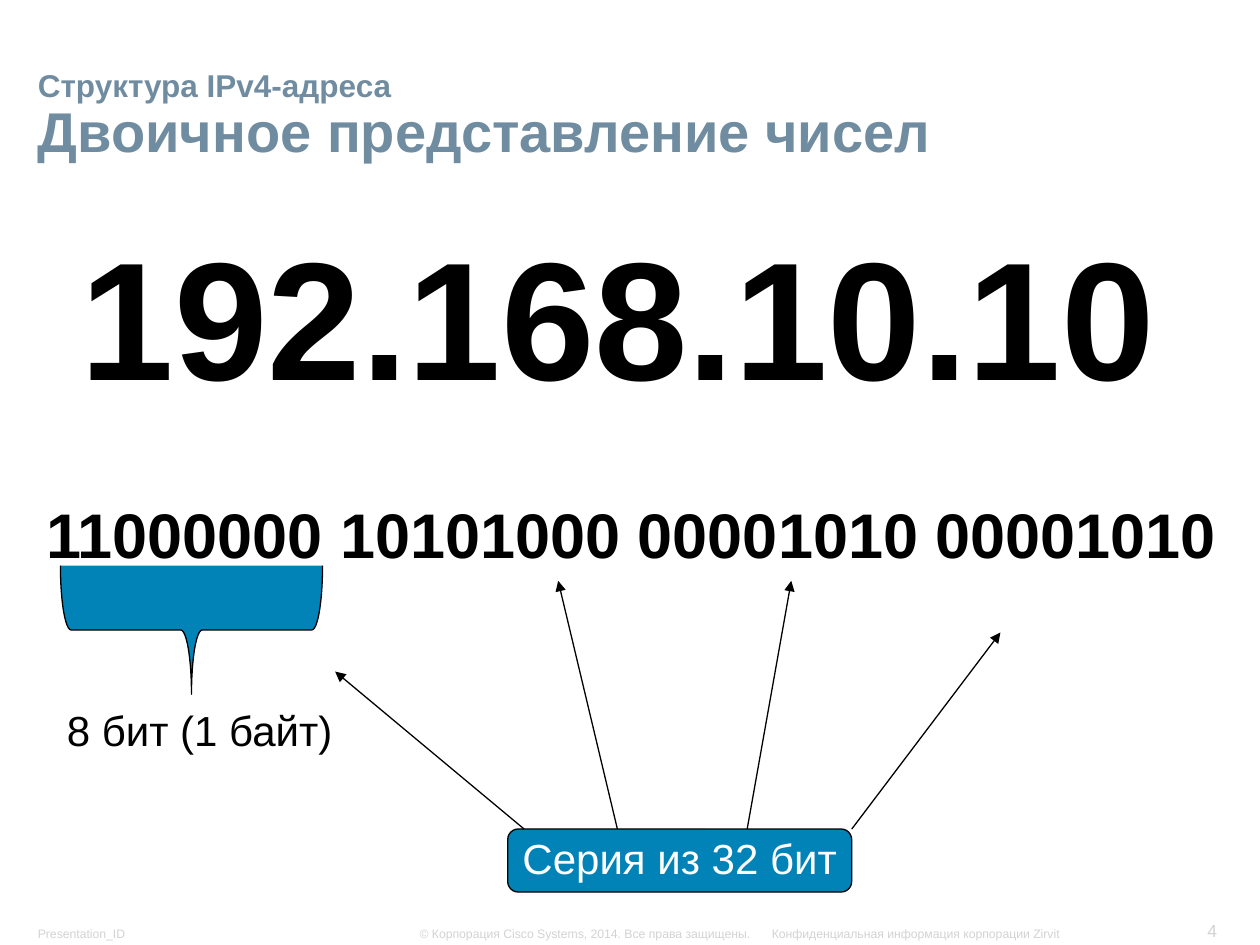
from dataclasses import dataclass

from lxml.etree import SubElement
from pptx import Presentation
from pptx.dml.color import RGBColor
from pptx.enum.shapes import MSO_CONNECTOR as Connector, MSO_SHAPE as Preset
from pptx.enum.text import MSO_ANCHOR as Anchor, MSO_AUTO_SIZE as AutoSize, PP_ALIGN as Align
from pptx.oxml.ns import qn
from pptx.util import Inches, Pt


@dataclass(frozen=True)
class Theme:
    font: str = "Arial"
    black: str = "000000"
    white: str = "FFFFFF"
    heading: str = "708CA1"
    accent: str = "0183B7"
    footer: str = "D3D3D3"
    footer_size: int = 7
    number_size: int = 10
    topic_size: int = 18
    label_size: int = 24
    title_size: int = 32
    bits_size: int = 36
    address_size: int = 96
    line_width: float = 0.75


THEME = Theme()
NARROW_INSETS = (0.09, 0.04)
WIDE_INSETS = (0.1, 0.05)


def color(code):
    return RGBColor.from_string(code)


def set_values(target, values):
    for name, value in values.items():
        setattr(target, name, value)


def write_text(shape, runs, ink, bold=False, align=Align.LEFT, spacing=None,
               anchor=Anchor.TOP, insets=NARROW_INSETS, wrap=True, grow=True):
    """Fill a shape with one paragraph; each (text, size) run is on its own line."""
    frame = shape.text_frame
    side, edge = map(Inches, insets)
    set_values(frame, {
        "margin_left": side, "margin_right": side,
        "margin_top": edge, "margin_bottom": edge,
        "vertical_anchor": anchor, "word_wrap": wrap,
        "auto_size": AutoSize.SHAPE_TO_FIT_TEXT if grow else AutoSize.NONE,
    })
    paragraph = frame.paragraphs[0]
    set_values(paragraph, {"alignment": align, "line_spacing": spacing})
    for index, (text, size) in enumerate(runs):
        if index:
            paragraph.add_line_break()
        run = paragraph.add_run()
        run.text = text
        set_values(run.font, {"name": THEME.font, "size": Pt(size), "bold": bold})
        run.font.color.rgb = color(ink)


def add_text(slide, box, runs, ink=THEME.black, **options):
    shape = slide.shapes.add_textbox(*map(Inches, box))
    write_text(shape, runs, ink, **options)


def set_line(line):
    line.color.rgb = color(THEME.black)
    line.width = Pt(THEME.line_width)


def add_accent_shape(slide, preset, box):
    shape = slide.shapes.add_shape(preset, *map(Inches, box))
    shape.shadow.inherit = False
    shape.fill.solid()
    shape.fill.fore_color.rgb = color(THEME.accent)
    set_line(shape.line)
    return shape


def add_arrow(slide, start, end):
    arrow = slide.shapes.add_connector(Connector.STRAIGHT, *map(Inches, start + end))
    set_line(arrow.line)
    properties = arrow.element.spPr
    SubElement(properties.find(qn("a:ln")), qn("a:tailEnd"), type="triangle")
    SubElement(properties, qn("a:effectLst"))


def add_footer(slide):
    items = [
        ((0.21, 7.3, 1.05, 0.21), "Presentation_ID", THEME.footer_size, Align.LEFT),
        ((9.4, 7.25, 0.35, 0.26), "4", THEME.number_size, Align.RIGHT),
        ((3.24, 7.3, 2.85, 0.21), "© Корпорация Cisco Systems, 2014. Все права защищены.",
         THEME.footer_size, Align.LEFT),
        ((5.97, 7.3, 2.53, 0.21), "Конфиденциальная информация корпорации Zirvit",
         THEME.footer_size, Align.RIGHT),
    ]
    for box, text, size, align in items:
        add_text(slide, box, [(text, size)], THEME.footer, align=align,
                 anchor=Anchor.BOTTOM, wrap=False)


def main():
    presentation = Presentation()
    presentation.slide_width = Inches(10)
    presentation.slide_height = Inches(7.5)
    slide = presentation.slides.add_slide(presentation.slide_layouts[6])

    add_footer(slide)

    # Title
    add_text(slide, (0.21, 0.43, 9.59, 0.92),
             [("Структура IPv4-адреса", THEME.topic_size),
              ("Двоичное представление чисел", THEME.title_size)],
             THEME.heading, bold=True, spacing=0.9, anchor=Anchor.BOTTOM, grow=False)

    # Address in decimal and binary form
    add_text(slide, (0, 1.76, 9.81, 1.78), [("192.168.10.10", THEME.address_size)],
             bold=True, align=Align.CENTER, spacing=0.95, grow=False)
    add_text(slide, (-0.49, 3.95, 11, 0.66),
             [("11000000 10101000 00001010 00001010", THEME.bits_size)],
             bold=True, align=Align.CENTER, spacing=0.9, insets=WIDE_INSETS)

    # Series label with an arrow to each octet
    series_top = 6.58
    series = add_accent_shape(slide, Preset.ROUNDED_RECTANGLE, (4.03, series_top, 2.73, 0.5))
    write_text(series, [("Серия из 32 бит", THEME.label_size)], THEME.white,
               align=Align.CENTER, spacing=0.9, anchor=Anchor.MIDDLE, wrap=False)
    for start_x, end in [(4.16, (2.66, 5.33)), (4.9, (4.43, 4.61)),
                         (5.93, (6.28, 4.61)), (6.76, (7.94, 5.02))]:
        add_arrow(slide, (start_x, series_top), end)

    # Brace under the first octet
    brace = add_accent_shape(slide, Preset.LEFT_BRACE, (1.01, 3.96, 1.02, 2.08))
    brace.rotation = 270
    add_text(slide, (0.42, 5.59, 2.33, 0.46), [("8 бит (1 байт)", THEME.label_size)],
             align=Align.CENTER, spacing=0.9, insets=WIDE_INSETS, wrap=False)

    presentation.save("out.pptx")


if __name__ == "__main__":
    main()
